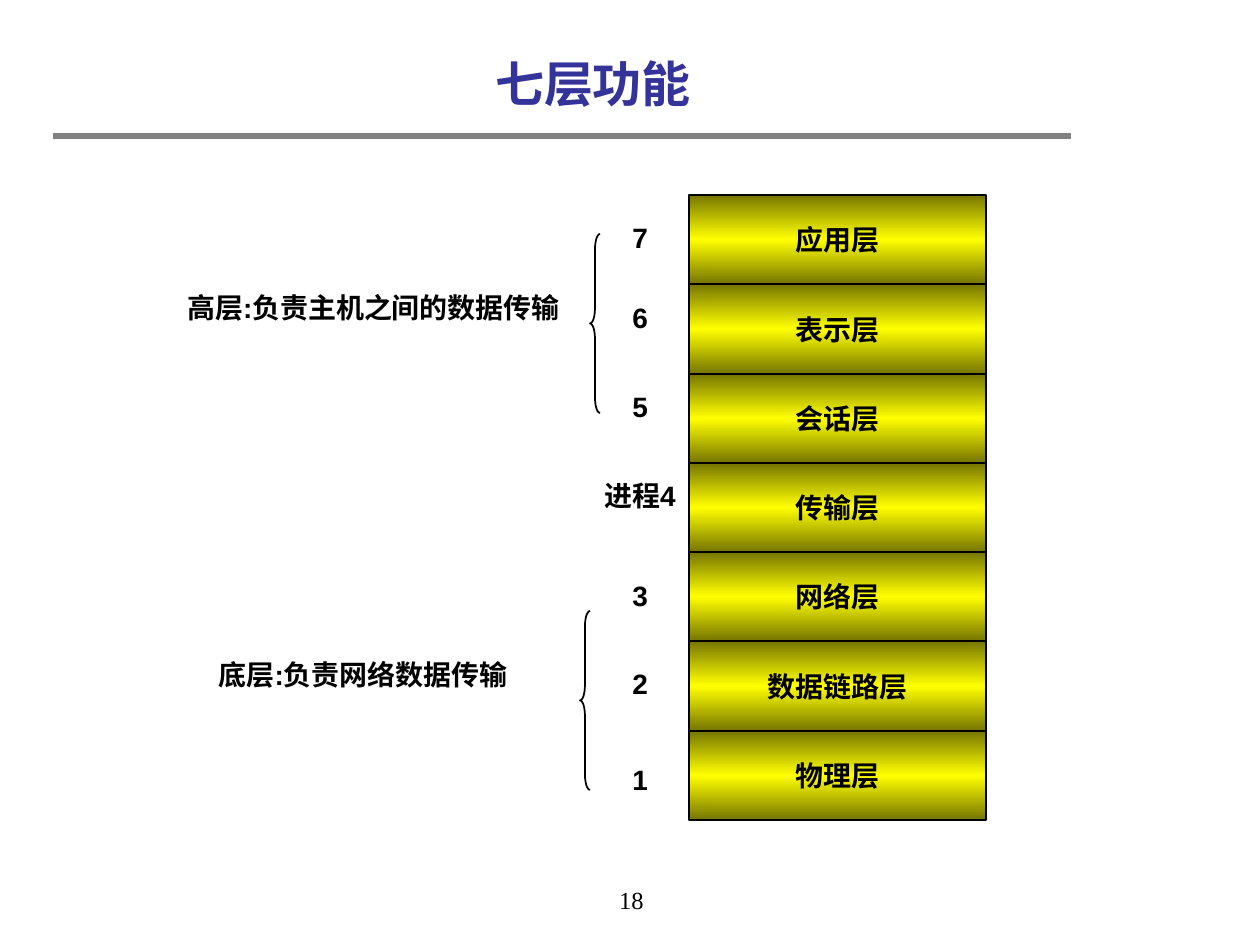
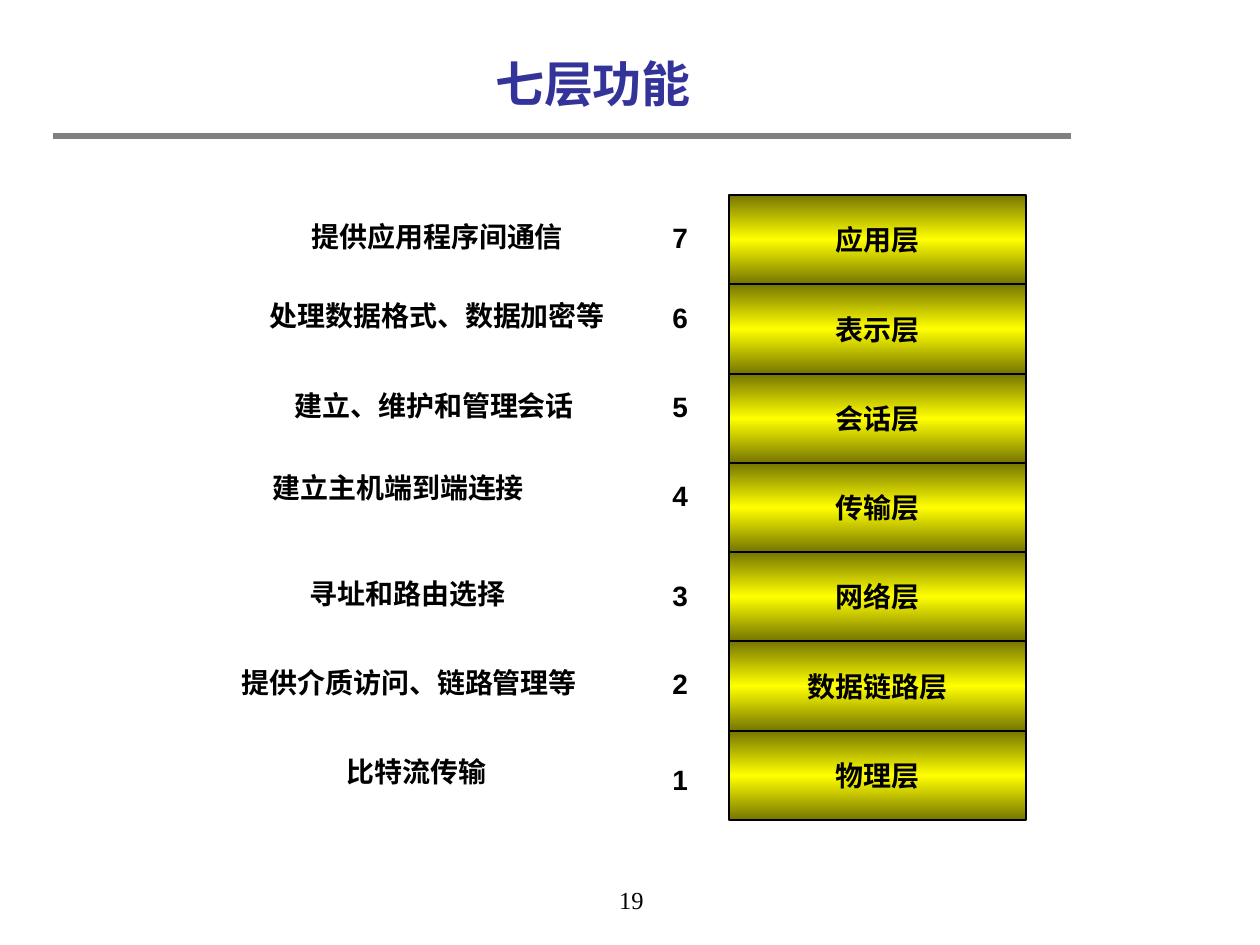
from copy import deepcopy

from lxml import etree
from pptx import Presentation
from pptx.dml.color import RGBColor
from pptx.enum.shapes import MSO_CONNECTOR, MSO_SHAPE
from pptx.enum.text import MSO_ANCHOR, MSO_AUTO_SIZE, PP_ALIGN
from pptx.oxml.ns import qn
from pptx.util import Emu, Pt

COLORS = {"title": "333399", "rule": "808080", "text": "000000",
          "edge": "767600", "glow": "FFFF00"}
SERIF, SANS = "Times New Roman", "Arial"
LABEL_H, CHAR_W, INSETS = 47, 28, 25

LAYERS = ["应用层", "表示层", "会话层", "传输层", "网络层", "数据链路层", "物理层"]
STACK_TOP, STACK_W, STACK_H = 195, 297, 625
NUMBER_TOPS = [214, 294, 383, 472, 572, 660, 756]
NUMBER_CENTER = -49  # from the left edge of the stack

# text, left, top
FUNCTIONS = [
    ("提供应用程序间通信", 299, 213),
    ("处理数据格式、数据加密等", 257, 292),
    ("建立、维护和管理会话", 282, 382),
    ("建立主机端到端连接", 260, 464),
    ("寻址和路由选择", 297, 570),
    ("提供介质访问、链路管理等", 229, 659),
    ("比特流传输", 334, 748),
]


def px(n):
    return Emu(round(n * 914400 / 126))


def rgb(name):
    return RGBColor.from_string(COLORS[name])


def write(tf, text, size, font, color="text", bold=True):
    p = tf.paragraphs[0]
    p.alignment = PP_ALIGN.CENTER
    r = p.add_run()
    r.text = text
    r.font.size = Pt(size)
    r.font.name = font
    r.font.bold = bold
    r.font.color.rgb = rgb(color)
    return r


def add_text_shadow(r):
    rPr = r.font._element
    effects = etree.Element(qn("a:effectLst"))
    shadow = etree.SubElement(effects, qn("a:outerShdw"),
                              dist="35921", dir="2700000", algn="tl")
    etree.SubElement(shadow, qn("a:srgbClr"), val="C0C0C0")
    rPr.find(qn("a:solidFill")).addnext(effects)


def add_label(s, text, x, y, w):
    tf = s.shapes.add_textbox(px(x), px(y), px(w), px(LABEL_H)).text_frame
    tf.word_wrap = False
    tf.auto_size = MSO_AUTO_SIZE.SHAPE_TO_FIT_TEXT
    write(tf, text, 16, SANS)


def add_frame(prs, title, page):
    """Add a slide with its title, rule and page number."""
    s = prs.slides.add_slide(prs.slide_layouts[5])
    rule = s.shapes.add_connector(MSO_CONNECTOR.STRAIGHT,
                                  px(53), px(136), px(1071), px(136))
    rule.line.color.rgb = rgb("rule")
    rule.line.width = Pt(3)
    etree.SubElement(rule._element.spPr, qn("a:effectLst"))

    sp = s.shapes.title
    sp.left, sp.top, sp.width, sp.height = px(105), px(35), px(976), px(95)
    sp.text_frame.vertical_anchor = MSO_ANCHOR.MIDDLE
    add_text_shadow(write(sp.text_frame, title, 28, SERIF, "title"))

    tf = s.shapes.add_textbox(px(432), px(879), px(399), px(66)).text_frame
    tf.word_wrap = True
    write(tf, str(page), 14, SERIF, bold=False)
    return s


def fill_glow(fill):
    """Shade from dark edges to a bright middle, top to bottom."""
    fill.gradient()
    fill.gradient_angle = 90
    for stop, position in zip(fill.gradient_stops, (0, 1)):
        stop.color.rgb = rgb("edge")
        stop.position = position
    first = fill.gradient_stops[0]._gs
    first.addnext(deepcopy(first))
    middle = fill.gradient_stops[1]
    middle.color.rgb = rgb("glow")
    middle.position = 0.5


def add_stack(s, x, notes):
    """Draw the seven layers at x, with numbers, some led by a note."""
    tops = [STACK_TOP + round(i * STACK_H / len(LAYERS))
            for i in range(len(LAYERS) + 1)]
    for layer, top, bottom in zip(LAYERS, tops, tops[1:]):
        sp = s.shapes.add_shape(MSO_SHAPE.RECTANGLE, px(x), px(top),
                                px(STACK_W), px(bottom - top))
        sp.shadow.inherit = False
        fill_glow(sp.fill)
        sp.line.color.rgb = rgb("text")
        sp.line.width = Pt(0.75)
        sp.text_frame.word_wrap = False
        sp.text_frame.vertical_anchor = MSO_ANCHOR.MIDDLE
        write(sp.text_frame, layer, 16, SERIF)
    for i, top in enumerate(NUMBER_TOPS):
        number = len(LAYERS) - i
        note = notes.get(number, "")
        w = 104 if note else 40
        add_label(s, f"{note}{number}", x + NUMBER_CENTER - w // 2, top, w)


def add_brace(s, x, y):
    sp = s.shapes.add_shape(MSO_SHAPE.LEFT_BRACE, px(x), px(y), px(10), px(179))
    sp.adjustments[0] = 1.5
    sp.shadow.inherit = False
    sp.fill.background()
    sp.line.color.rgb = rgb("text")
    sp.line.width = Pt(1)


def add_groups_slide(prs):
    s = add_frame(prs, "七层功能", 18)
    add_stack(s, 689, {4: "进程"})
    add_brace(s, 590, 234)
    add_brace(s, 580, 611)
    add_label(s, "高层:负责主机之间的数据传输", 168, 284, 411)
    add_label(s, "底层:负责网络数据传输", 200, 651, 326)


def add_functions_slide(prs):
    s = add_frame(prs, "七层功能", 19)
    add_stack(s, 729, {})
    for text, x, y in FUNCTIONS:
        add_label(s, text, x, y, CHAR_W * len(text) + INSETS)


def main():
    prs = Presentation()
    prs.slide_width, prs.slide_height = px(1260), px(945)
    add_groups_slide(prs)
    add_functions_slide(prs)
    prs.save("out.pptx")


if __name__ == "__main__":
    main()
